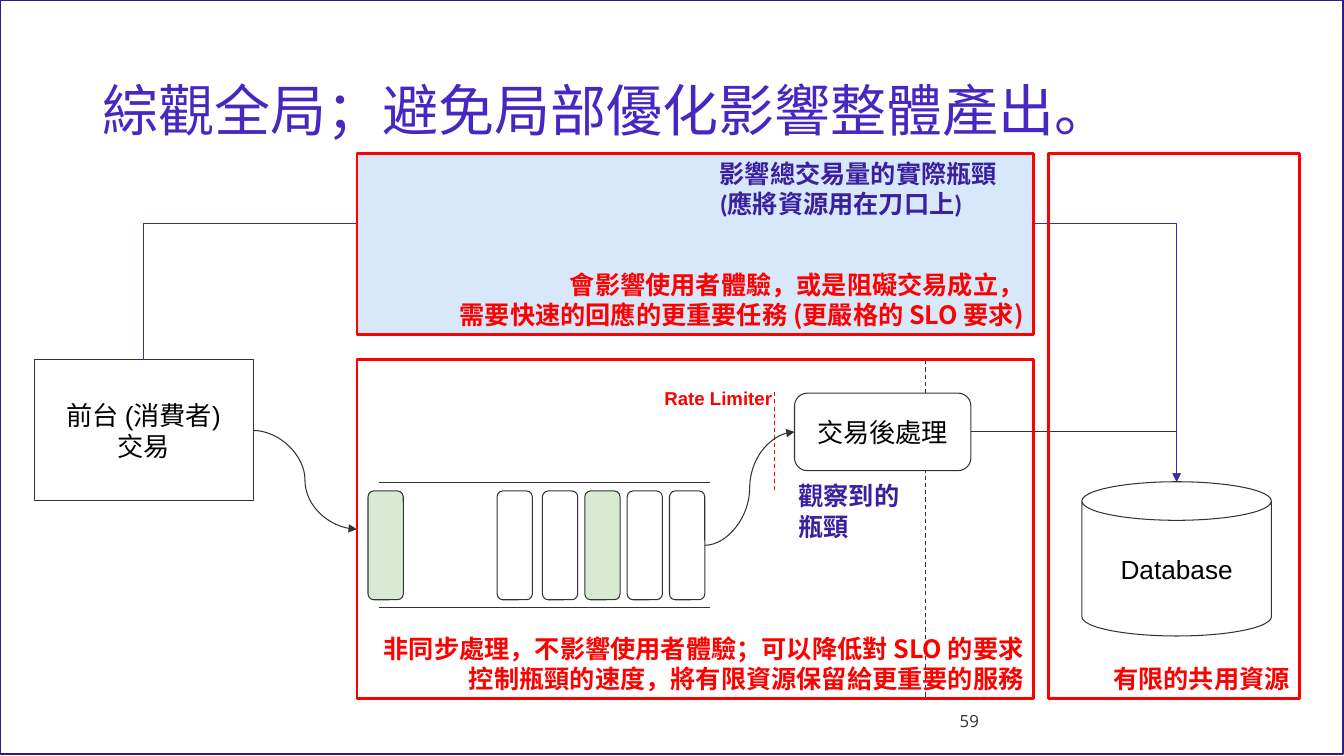
from dataclasses import dataclass
from typing import Optional

from lxml.etree import SubElement
from pptx import Presentation
from pptx.dml.color import RGBColor
from pptx.enum.dml import MSO_LINE
from pptx.enum.shapes import MSO_CONNECTOR, MSO_SHAPE
from pptx.enum.text import MSO_ANCHOR, PP_ALIGN
from pptx.oxml.ns import qn
from pptx.util import Inches, Pt

WHITE = RGBColor(0xFF, 0xFF, 0xFF)
BLACK = RGBColor(0x00, 0x00, 0x00)
GRAY = RGBColor(0x33, 0x33, 0x33)
RED = RGBColor(0xFF, 0x00, 0x00)
GREEN = RGBColor(0xD9, 0xEA, 0xD3)
PALE_BLUE = RGBColor(0xD8, 0xE8, 0xFB)
TITLE_PURPLE = RGBColor(0x48, 0x26, 0xC1)
FLOW_PURPLE = RGBColor(0x44, 0x24, 0xB5)
NOTE_PURPLE = RGBColor(0x3A, 0x20, 0xA0)
BORDER_PURPLE = RGBColor(0x32, 0x1B, 0x86)
CJK_FONT = "Noto Sans CJK TC"


@dataclass(frozen=True)
class TextStyle:
    font: str
    size: float
    color: RGBColor
    bold: bool = False
    align: PP_ALIGN = PP_ALIGN.LEFT
    anchor: MSO_ANCHOR = MSO_ANCHOR.TOP
    inset_x: float = 0.1
    inset_y: float = 0.05


@dataclass(frozen=True)
class Box:
    left: float
    top: float
    width: float
    height: float
    text: str = ""
    kind: MSO_SHAPE = MSO_SHAPE.RECTANGLE
    fill: Optional[RGBColor] = WHITE
    line: RGBColor = GRAY
    weight: float = 0.75


NODE = TextStyle("Arial", 18.7, BLACK, align=PP_ALIGN.CENTER,
                 anchor=MSO_ANCHOR.MIDDLE, inset_x=0.13, inset_y=0.13)
FRAME = TextStyle(CJK_FONT, 18, RED, True, PP_ALIGN.RIGHT, MSO_ANCHOR.BOTTOM)
NOTE = TextStyle("Calibri", 18, NOTE_PURPLE, True)
LIMITER = TextStyle("Arial", 13.3, RED, True, inset_x=0.13, inset_y=0.13)
TITLE = TextStyle("Open Sans", 40, TITLE_PURPLE, anchor=MSO_ANCHOR.MIDDLE)
PAGE = TextStyle("Open Sans", 12, GRAY, anchor=MSO_ANCHOR.MIDDLE)


def write(frame, text: str, style: TextStyle) -> None:
    frame.text = text
    frame.word_wrap = True
    frame.vertical_anchor = style.anchor
    frame.margin_left = frame.margin_right = Inches(style.inset_x)
    frame.margin_top = frame.margin_bottom = Inches(style.inset_y)
    for paragraph in frame.paragraphs:
        paragraph.alignment = style.align
        for run in paragraph.runs:
            run.font.name = style.font
            run.font.size = Pt(style.size)
            run.font.bold = style.bold
            run.font.color.rgb = style.color
            east_asian = SubElement(run.font._element, qn("a:ea"))
            east_asian.set("typeface", CJK_FONT)


def draw_box(slide, box: Box, style: TextStyle = NODE):
    shape = slide.shapes.add_shape(box.kind, Inches(box.left), Inches(box.top),
                                   Inches(box.width), Inches(box.height))
    shape.shadow.inherit = False
    if box.fill is None:
        shape.fill.background()
    else:
        shape.fill.solid()
        shape.fill.fore_color.rgb = box.fill
    shape.line.color.rgb = box.line
    shape.line.width = Pt(box.weight)
    if box.text:
        write(shape.text_frame, box.text, style)
    return shape


def draw_label(slide, left: float, top: float, width: float, height: float,
               text: str, style: TextStyle) -> None:
    label = slide.shapes.add_textbox(Inches(left), Inches(top), Inches(width), Inches(height))
    write(label.text_frame, text, style)


def draw_line(slide, start: tuple[float, float], end: tuple[float, float],
              kind: MSO_CONNECTOR = MSO_CONNECTOR.STRAIGHT, color: RGBColor = GRAY,
              weight: float = 0.75, arrow: bool = False, dashed: bool = False):
    line = slide.shapes.add_connector(kind, *map(Inches, start + end))
    line.line.color.rgb = color
    line.line.width = Pt(weight)
    if dashed:
        line.line.dash_style = MSO_LINE.DASH
    properties = line._element.spPr
    if arrow:
        SubElement(properties.find(qn("a:ln")), qn("a:tailEnd")).set("type", "triangle")
    SubElement(properties, qn("a:effectLst"))
    return line


def draw_queue(slide):
    for rail_y in (4.79, 6.03):
        draw_line(slide, (3.76, rail_y), (7.04, rail_y))
    slots = [(3.65, GREEN), (4.93, WHITE)]
    slots += [(5.38 + 0.42 * i, GREEN if i == 1 else WHITE) for i in range(4)]
    for left, fill in slots:
        message = draw_box(slide, Box(left, 4.87, 0.35, 1.08,
                                      kind=MSO_SHAPE.ROUNDED_RECTANGLE, fill=fill))
    return message


def draw_flows(slide, front_desk, async_area, last_message, after_task, database) -> None:
    to_task = draw_line(slide, (6.99, 5.41), (7.88, 4.29), MSO_CONNECTOR.CURVE, arrow=True)
    to_task.begin_connect(last_message, 3)
    to_task.end_connect(after_task, 1)

    to_queue = draw_line(slide, (2.51, 4.27), (3.54, 5.25), MSO_CONNECTOR.CURVE, arrow=True)
    to_queue.begin_connect(front_desk, 3)
    to_queue.end_connect(async_area, 1)

    # The top of a can is its connection site 1
    to_database = draw_line(slide, (9.63, 4.29), (11.67, 4.78), MSO_CONNECTOR.ELBOW, arrow=True)
    to_database.begin_connect(after_task, 3)
    to_database.end_connect(database, 1)
    to_database.end_x, to_database.end_y = Inches(11.67), Inches(4.78)
    to_database._element.spPr.find(qn("a:prstGeom")).set("prst", "bentConnector2")

    # The direct route leaves upwards, so its elbow is turned by 270 degrees
    direct = draw_line(slide, (1.42, 3.57), (11.67, 4.78), MSO_CONNECTOR.ELBOW,
                       FLOW_PURPLE, 0.5, arrow=True)
    direct.begin_connect(front_desk, 0)
    direct.end_connect(database, 1)
    direct.left, direct.top = Inches(5.94), Inches(-0.95)
    direct.width, direct.height = Inches(1.21), Inches(10.25)
    transform = direct._element.spPr.find(qn("a:xfrm"))
    transform.set("rot", "16200000")
    transform.set("flipH", "1")
    bend = SubElement(direct._element.spPr.find(qn("a:prstGeom")).find(qn("a:avLst")), qn("a:gd"))
    bend.set("name", "adj1")
    bend.set("fmla", "val -112300")


def main() -> None:
    presentation = Presentation()
    presentation.slide_width, presentation.slide_height = Inches(13.33), Inches(7.5)
    slide = presentation.slides.add_slide(presentation.slide_layouts[5])

    # Border, title and page number
    draw_box(slide, Box(0, 0, 13.32, 7.48, fill=None, line=BORDER_PURPLE, weight=1))
    title = slide.shapes.title
    title.left, title.top = Inches(0.92), Inches(0.4)
    title.width, title.height = Inches(11.5), Inches(1.45)
    write(title.text_frame, "綜觀全局；避免局部優化影響整體產出。", TITLE)
    title.text_frame.paragraphs[0].line_spacing = 0.9
    draw_label(slide, 9.42, 6.95, 3, 0.4, "59", PAGE)

    # Processing nodes
    async_area = draw_box(slide, Box(3.54, 3.57, 5.64, 3.36))
    async_area.line.dash_style = MSO_LINE.DASH
    last_message = draw_queue(slide)
    after_task = draw_box(slide, Box(7.88, 3.9, 1.75, 0.77, "交易後處理",
                                     MSO_SHAPE.ROUNDED_RECTANGLE))
    front_desk = draw_box(slide, Box(0.34, 3.57, 2.17, 1.4, "前台 (消費者)\n交易"))
    database = draw_box(slide, Box(10.73, 4.78, 1.88, 1.53, "Database", MSO_SHAPE.CAN))

    # Rate limiter and flows
    draw_line(slide, (7.68, 3.89), (7.68, 4.88), color=RED, dashed=True)
    draw_label(slide, 6.46, 3.73, 1.48, 0.66, "Rate Limiter", LIMITER)
    draw_flows(slide, front_desk, async_area, last_message, after_task, database)

    # Red frames
    frames = [
        Box(10.4, 1.52, 2.49, 5.41, "有限的共用資源", fill=None, line=RED, weight=2),
        Box(3.54, 3.57, 6.71, 3.36,
            "非同步處理，不影響使用者體驗；可以降低對 SLO 的要求\n"
            "控制瓶頸的速度，將有限資源保留給更重要的服務", fill=None, line=RED, weight=2),
        Box(3.54, 1.52, 6.71, 1.8,
            "會影響使用者體驗，或是阻礙交易成立，\v"
            "需要快速的回應的更重要任務 (更嚴格的 SLO 要求)", fill=PALE_BLUE, line=RED, weight=2),
    ]
    for frame in frames:
        draw_box(slide, frame, FRAME)

    # Bottleneck notes
    draw_label(slide, 7.82, 4.72, 1.38, 0.71, "觀察到的瓶頸", NOTE)
    draw_label(slide, 7.04, 1.52, 3.08, 0.71, "影響總交易量的實際瓶頸\n(應將資源用在刀口上)", NOTE)

    presentation.save("out.pptx")


if __name__ == "__main__":
    main()
